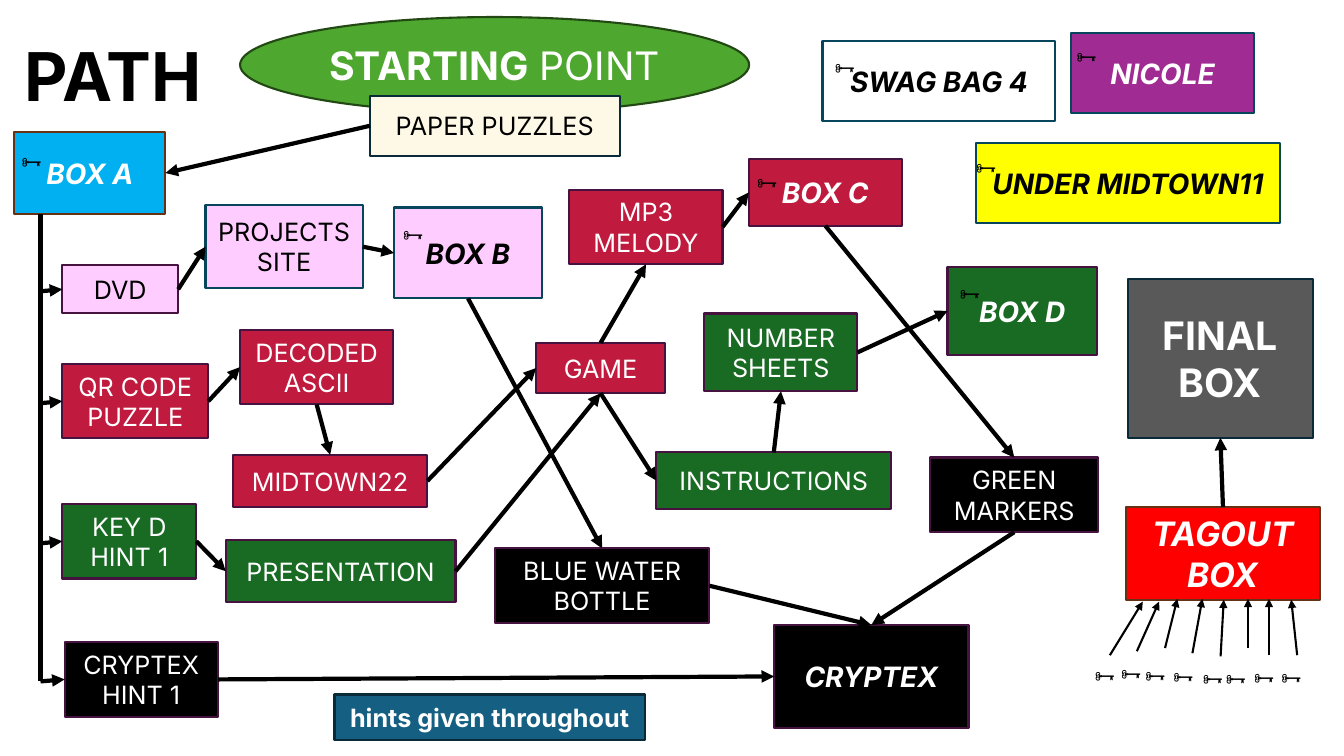
from dataclasses import dataclass

from lxml import etree
from pptx import Presentation
from pptx.dml.color import RGBColor
from pptx.enum.shapes import MSO_CONNECTOR, MSO_SHAPE
from pptx.enum.text import MSO_ANCHOR, PP_ALIGN
from pptx.oxml.ns import qn
from pptx.util import Cm, Pt

RECTANGLE, ELLIPSE = MSO_SHAPE.RECTANGLE, MSO_SHAPE.OVAL
STRAIGHT = MSO_CONNECTOR.STRAIGHT
TOP, LEFT, BOTTOM, RIGHT = range(4)


@dataclass(frozen=True)
class Theme:
    font: str = "Inter"
    key_font: str = "Karla"
    black: str = "000000"
    white: str = "FFFFFF"
    start: str = "4EA72E"
    cream: str = "FEF9E6"
    sky: str = "00B0F0"
    pink: str = "FFCCFF"
    crimson: str = "C01A3E"
    green: str = "196B24"
    purple: str = "A02B93"
    yellow: str = "FFFF00"
    red: str = "FF0000"
    gray: str = "595959"
    teal: str = "156082"
    start_edge: str = "224914"
    navy_edge: str = "092A39"
    brown_edge: str = "663216"
    plum_edge: str = "461340"
    teal_edge: str = "07455D"
    title: int = 48
    large: int = 28
    medium: int = 24
    station: int = 20
    body: int = 18
    border: float = 1.5
    arrow: float = 3


THEME = Theme()


@dataclass(frozen=True)
class Region:
    left: float
    top: float

    def at(self, x, y):
        return Cm(self.left + x), Cm(self.top + y)


def format_runs(paragraph, size, color, bold=False, italic=False, font=THEME.font):
    for run in paragraph.runs:
        run.font.name = font
        run.font.size = Pt(size)
        run.font.color.rgb = RGBColor.from_string(color)
        run.font.bold = bold
        run.font.italic = italic


def add_box(slide, region, text, place, fill, edge, color=THEME.white,
            size=THEME.body, bold=False, italic=False, kind=RECTANGLE):
    x, y, width, height = place
    shape = slide.shapes.add_shape(kind, *region.at(x, y), Cm(width), Cm(height))
    shape.shadow.inherit = False
    shape.fill.solid()
    shape.fill.fore_color.rgb = RGBColor.from_string(fill)
    shape.line.color.rgb = RGBColor.from_string(edge)
    shape.line.width = Pt(THEME.border)
    frame = shape.text_frame
    frame.word_wrap = True
    frame.vertical_anchor = MSO_ANCHOR.MIDDLE
    frame.text = text
    paragraph = frame.paragraphs[0]
    paragraph.alignment = PP_ALIGN.CENTER
    format_runs(paragraph, size, color, bold, italic)
    return shape


def add_key(slide, left, top):
    text_box = slide.shapes.add_textbox(left, top, Cm(1.4), Cm(1.02))
    text_box.text_frame.word_wrap = False
    text_box.text_frame.text = "🗝️"
    format_runs(text_box.text_frame.paragraphs[0], THEME.body, THEME.black, font=THEME.key_font)


def add_key_box(slide, region, text, place, fill, edge, color, key_offset):
    shape = add_box(slide, region, text, place, fill, edge, color, THEME.station, True, True)
    if key_offset:
        add_key(slide, shape.left + Cm(key_offset[0]), shape.top + Cm(key_offset[1]))
    return shape


def add_line(slide, start, end, width=THEME.arrow, arrowhead=True):
    connector = slide.shapes.add_connector(STRAIGHT, *start, *end)
    connector.line.color.rgb = RGBColor.from_string(THEME.black)
    connector.line.width = Pt(width)
    properties = connector.element.spPr
    if arrowhead:
        etree.SubElement(properties.find(qn("a:ln")), qn("a:tailEnd"), type="triangle")
    etree.SubElement(properties, qn("a:effectLst"))
    return connector


def link(slide, source, source_side, target, target_side):
    connector = add_line(slide, (0, 0), (0, 0))
    connector.begin_connect(source, source_side)
    connector.end_connect(target, target_side)


def build_header(slide, region):
    title = slide.shapes.title
    title.left, title.top = region.at(0, 0.31)
    title.width, title.height = Cm(12.12), Cm(2.31)
    title.text_frame.text = "PATH"
    title.text_frame.vertical_anchor = MSO_ANCHOR.TOP
    heading = title.text_frame.paragraphs[0]
    heading.alignment = PP_ALIGN.LEFT
    format_runs(heading, THEME.title, THEME.black, bold=True)

    start = add_box(slide, region, "STARTING", (5.69, 0, 12.83, 2.41), THEME.start,
                    THEME.start_edge, size=THEME.large, kind=ELLIPSE)
    paragraph = start.text_frame.paragraphs[0]
    paragraph.add_run().text = " POINT"
    format_runs(paragraph, THEME.large, THEME.white)
    paragraph.runs[0].font.bold = True
    return add_box(slide, region, "PAPER PUZZLES", (8.96, 1.98, 6.3, 1.52),
                   THEME.cream, THEME.navy_edge, THEME.black)


def build_flow(slide, region):
    steps = {
        "DVD": (THEME.pink, (1.21, 3.35, 2.92, 1.22)),
        "QR CODE PUZZLE": (THEME.crimson, (1.21, 5.84, 3.68, 1.88)),
        "KEY D HINT 1": (THEME.green, (1.21, 9.37, 3.38, 1.88)),
        "CRYPTEX HINT 1": (THEME.black, (1.27, 12.85, 3.86, 1.88)),
        "PROJECTS SITE": (THEME.pink, (4.82, 1.83, 3.96, 2.11)),
        "DECODED ASCII": (THEME.crimson, (5.69, 4.98, 3.86, 1.88)),
        "MIDTOWN22": (THEME.crimson, (5.51, 8.13, 4.9, 1.32)),
        "PRESENTATION": (THEME.green, (5.33, 10.28, 5.79, 1.57)),
        "GAME": (THEME.crimson, (13.15, 5.31, 3.25, 1.27)),
        "MP3 MELODY": (THEME.crimson, (13.99, 1.45, 3.86, 1.88)),
        "NUMBER SHEETS": (THEME.green, (17.39, 4.57, 3.86, 1.96)),
        "INSTRUCTIONS": (THEME.green, (16.18, 8.07, 5.92, 1.42)),
        "BLUE WATER BOTTLE": (THEME.black, (12.11, 10.49, 5.41, 1.88)),
        "GREEN MARKERS": (THEME.black, (23.08, 8.2, 4.24, 1.88)),
    }
    stations = {
        "BOX A": (THEME.sky, THEME.brown_edge, (0, 0, 3.81, 2.06), (-0.13, 0.18)),
        "BOX B": (THEME.pink, THEME.teal_edge, (9.57, 1.9, 3.73, 2.29), (-0.08, 0.13)),
        "BOX C": (THEME.crimson, THEME.plum_edge, (18.51, 0.68, 3.86, 1.68), (-0.1, 0.03)),
        "BOX D": (THEME.green, THEME.plum_edge, (23.52, 3.4, 3.76, 2.21), (0, 0.1)),
        "CRYPTEX": (THEME.black, THEME.plum_edge, (19.15, 12.42, 4.9, 2.59), None),
    }
    links = [
        ("DVD", RIGHT, "PROJECTS SITE", LEFT),
        ("PROJECTS SITE", RIGHT, "BOX B", LEFT),
        ("BOX B", BOTTOM, "BLUE WATER BOTTLE", TOP),
        ("QR CODE PUZZLE", RIGHT, "DECODED ASCII", LEFT),
        ("DECODED ASCII", BOTTOM, "MIDTOWN22", TOP),
        ("MIDTOWN22", RIGHT, "GAME", LEFT),
        ("GAME", TOP, "MP3 MELODY", BOTTOM),
        ("MP3 MELODY", RIGHT, "BOX C", LEFT),
        ("BOX C", BOTTOM, "GREEN MARKERS", TOP),
        ("KEY D HINT 1", RIGHT, "PRESENTATION", LEFT),
        ("PRESENTATION", RIGHT, "GAME", BOTTOM),
        ("GAME", BOTTOM, "INSTRUCTIONS", LEFT),
        ("INSTRUCTIONS", TOP, "NUMBER SHEETS", BOTTOM),
        ("NUMBER SHEETS", RIGHT, "BOX D", LEFT),
        ("BLUE WATER BOTTLE", RIGHT, "CRYPTEX", TOP),
        ("GREEN MARKERS", BOTTOM, "CRYPTEX", TOP),
        ("CRYPTEX HINT 1", RIGHT, "CRYPTEX", LEFT),
    ]
    boxes = {}
    for text, (fill, place) in steps.items():
        edge = THEME.teal_edge if text == "PROJECTS SITE" else THEME.plum_edge
        color = THEME.black if fill == THEME.pink else THEME.white
        boxes[text] = add_box(slide, region, text, place, fill, edge, color)
    for text, (fill, edge, place, key_offset) in stations.items():
        color = THEME.black if fill == THEME.pink else THEME.white
        boxes[text] = add_key_box(slide, region, text, place, fill, edge, color, key_offset)
    for source, source_side, target, target_side in links:
        link(slide, boxes[source], source_side, boxes[target], target_side)

    add_line(slide, region.at(0.66, 2.06), region.at(0.66, 13.84), arrowhead=False)
    rail = region.at(0.66, 0)[0]
    for text in ("DVD", "QR CODE PUZZLE", "KEY D HINT 1", "CRYPTEX HINT 1"):
        box = boxes[text]
        middle = box.top + box.height // 2
        add_line(slide, (rail, middle + Cm(0.05)), (box.left, middle))
    add_box(slide, region, "hints given throughout", (8.07, 14.17, 7.82, 1.14),
            THEME.teal, THEME.navy_edge, bold=True)
    return boxes["BOX A"]


def build_bonus(slide, region):
    for text, x, y, width, fill, color, key_offset in (
        ("NICOLE", 6.27, 0, 4.6, THEME.purple, THEME.white, (-0.18, 0.03)),
        ("SWAG BAG 4", 0, 0.2, 5.87, THEME.white, THEME.black, (0, 0.1)),
        ("UNDER MIDTOWN11", 3.86, 2.77, 7.67, THEME.yellow, THEME.black, (-0.3, 0.05)),
    ):
        add_key_box(slide, region, text, (x, y, width, 2.01), fill, THEME.teal_edge,
                    color, key_offset)


def build_finale(slide, region):
    final = add_box(slide, region, "FINAL BOX", (1.14, 0, 4.67, 3.99), THEME.gray,
                    THEME.navy_edge, size=THEME.large, bold=True)
    tagout = add_box(slide, region, "TAGOUT BOX", (1.09, 5.74, 4.9, 2.34), THEME.red,
                     THEME.brown_edge, size=THEME.medium, bold=True, italic=True)
    link(slide, tagout, TOP, final, BOTTOM)
    for key, tail, tip in (
        ((0, 9.42), (0.69, 9.47), (1.52, 8.12)),
        ((0.66, 9.37), (1.37, 9.37), (1.93, 8.12)),
        ((1.27, 9.42), (2.08, 9.29), (2.39, 8.05)),
        ((1.98, 9.44), (2.77, 9.42), (3.02, 8.05)),
        ((2.72, 9.5), (3.48, 9.5), (3.56, 8.07)),
        ((3.3, 9.5), (4.17, 9.29), (4.17, 8.05)),
        ((4.01, 9.47), (4.7, 9.47), (4.7, 8.05)),
        ((4.7, 9.47), (5.41, 9.47), (5.26, 8.07)),
    ):
        add_key(slide, *region.at(*key))
        add_line(slide, region.at(*tail), region.at(*tip), THEME.border)


def main():
    presentation = Presentation()
    presentation.slide_width, presentation.slide_height = Cm(33.87), Cm(19.05)
    slide = presentation.slides.add_slide(presentation.slide_layouts.get_by_name("Title Only"))
    paper_puzzles = build_header(slide, Region(0.36, 0.43))
    box_a = build_flow(slide, Region(0.36, 3.33))
    link(slide, paper_puzzles, LEFT, box_a, RIGHT)
    build_bonus(slide, Region(20.73, 0.84))
    build_finale(slide, Region(27.28, 7.04))
    presentation.save("out.pptx")


if __name__ == "__main__":
    main()
